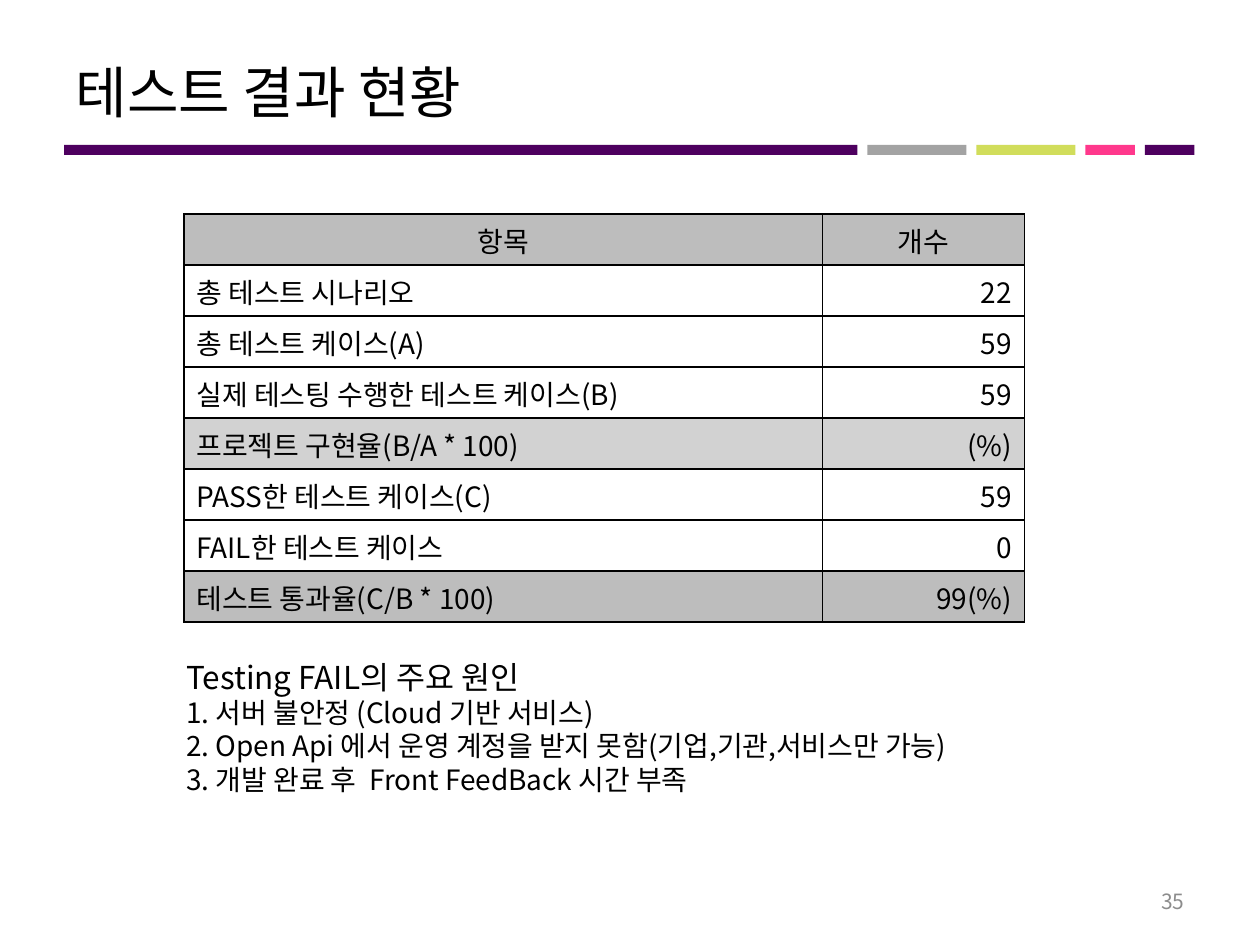
from lxml import etree
from pptx import Presentation, util as u
from pptx.dml.color import RGBColor
from pptx.enum import shapes, text
from pptx.oxml.ns import qn

FONT = "Noto Sans CJK KR"
BLACK, WHITE, GREY, LIGHT_GREY = "000000", "FFFFFF", "BDBDBD", "D2D2D2"
LEFT, CENTER, RIGHT = text.PP_ALIGN.LEFT, text.PP_ALIGN.CENTER, text.PP_ALIGN.RIGHT

# Width of each bar in grid units, and its colour; the gaps are one unit
BARS = [(80, "4E005F"), (10, "A3A3A3"), (10, "D1DD5B"), (5, "FF388C"), (5, "4E005F")]
ROWS = [
    ("항목", "개수", GREY),
    ("총 테스트 시나리오", "22", WHITE),
    ("총 테스트 케이스(A)", "59", WHITE),
    ("실제 테스팅 수행한 테스트 케이스(B)", "59", WHITE),
    ("프로젝트 구현율(B/A * 100)", "(%)", LIGHT_GREY),
    ("PASS한 테스트 케이스(C)", "59", WHITE),
    ("FAIL한 테스트 케이스", "0", WHITE),
    ("테스트 통과율(C/B * 100)", "99(%)", GREY),
]
CAUSES = [
    "Testing FAIL의 주요 원인",
    "1. 서버 불안정 (Cloud 기반 서비스)",
    "2. Open Api 에서 운영 계정을 받지 못함(기업,기관,서비스만 가능)",
    "3. 개발 완료 후  Front FeedBack 시간 부족",
]


def color(value):
    return RGBColor.from_string(value)


def inches(box):
    return [u.Inches(length) for length in box]


def write(paragraph, words, size, align=LEFT, ink=BLACK):
    paragraph.text = words
    paragraph.alignment = align
    font = paragraph.font
    font.size, font.name = u.Pt(size), FONT
    font.color.rgb = color(ink)
    # Hangul takes the East Asian typeface
    properties = paragraph._p.pPr.find(qn("a:defRPr"))
    etree.SubElement(properties, qn("a:ea"), typeface=FONT)


def add_title(slide, box):
    title = slide.shapes.title
    title.left, title.top, title.width, title.height = inches(box)
    title.text_frame.vertical_anchor = text.MSO_ANCHOR.MIDDLE
    write(title.text_frame.paragraphs[0], "테스트 결과 현황", 32)


def add_bars(slide, box):
    left, top, width, height = box
    unit = width / (sum(units for units, _ in BARS) + len(BARS) - 1)
    for units, fill in BARS:
        bar = slide.shapes.add_shape(shapes.MSO_SHAPE.RECTANGLE,
                                     *inches((left, top, units * unit, height)))
        bar.shadow.inherit = False
        bar.fill.solid()
        bar.fill.fore_color.rgb = color(fill)
        bar.line.fill.background()
        left += (units + 1) * unit


def add_borders(cell):
    properties = cell._tc.get_or_add_tcPr()
    for index, side in enumerate(("a:lnL", "a:lnR", "a:lnT", "a:lnB")):
        line = etree.Element(qn(side), w=str(u.Pt(1)))
        fill = etree.SubElement(line, qn("a:solidFill"))
        etree.SubElement(fill, qn("a:srgbClr"), val=BLACK)
        properties.insert(index, line)


def add_results(slide, box):
    table = slide.shapes.add_table(len(ROWS), 2, *inches(box)).table
    table.first_row = table.horz_banding = False
    for column, share in zip(table.columns, (0.76, 0.24)):
        column.width = u.Inches(box[2] * share)
    for row, (item, count, fill) in enumerate(ROWS):
        aligns = (CENTER, CENTER) if row == 0 else (LEFT, RIGHT)
        for column, words in enumerate((item, count)):
            cell = table.cell(row, column)
            cell.fill.solid()
            cell.fill.fore_color.rgb = color(fill)
            add_borders(cell)
            write(cell.text_frame.paragraphs[0], words, 16, aligns[column])


def add_text_box(slide, box):
    frame = slide.shapes.add_textbox(*inches(box)).text_frame
    frame.word_wrap = True
    return frame


def add_causes(slide, box):
    frame = add_text_box(slide, box)
    frame.auto_size = text.MSO_AUTO_SIZE.SHAPE_TO_FIT_TEXT
    for index, words in enumerate(CAUSES):
        paragraph = frame.add_paragraph() if index else frame.paragraphs[0]
        write(paragraph, words, 16 if index else 18)


def add_page_number(slide, box):
    frame = add_text_box(slide, box)
    frame.vertical_anchor = text.MSO_ANCHOR.MIDDLE
    write(frame.paragraphs[0], "35", 12, RIGHT, "8C8C8C")


def main():
    presentation = Presentation()
    presentation.slide_width, presentation.slide_height = inches((10, 7.5))
    slide = presentation.slides.add_slide(presentation.slide_layouts.get_by_name("Title Only"))
    add_bars(slide, (0.51, 1.15, 8.97, 0.08))
    add_title(slide, (0.5, 0.3, 9, 0.85))
    add_page_number(slide, (7.17, 6.95, 2.33, 0.4))
    add_results(slide, (1.46, 1.7, 6.67, 3.24))
    add_causes(slide, (1.38, 5.17, 6.85, 1.21))
    presentation.save("out.pptx")


if __name__ == "__main__":
    main()
